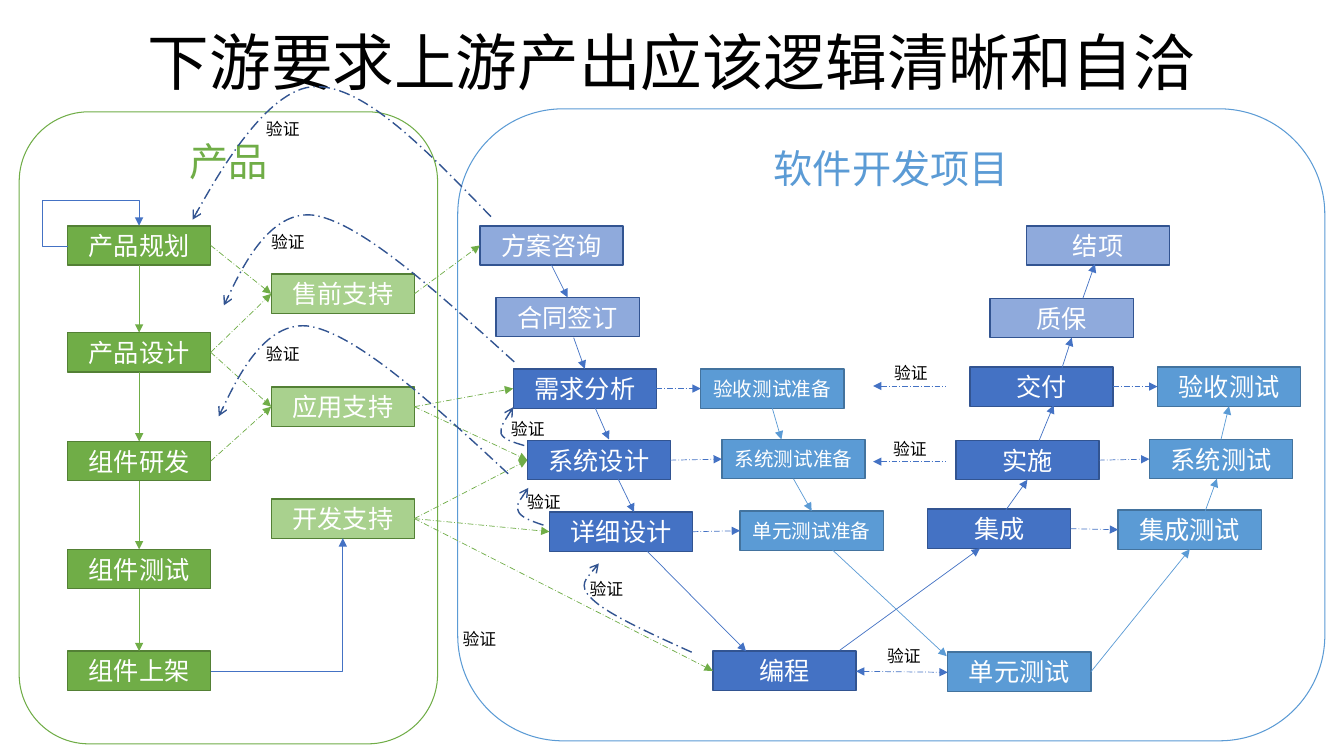
from lxml import etree
from pptx import Presentation
from pptx import util as u
from pptx.dml.color import RGBColor
from pptx.enum import dml, shapes, text
from pptx.oxml.ns import qn

FONT = "Noto Sans CJK SC"
BOX_W, BOX_H = 1.42, 0.39
TOP, LEFT, BOTTOM, RIGHT = range(4)
NAVY, BLUE, SKY, PALE_BLUE = "325491", "4472C4", "5B9BD5", "8FAADC"
GREEN, PALE_GREEN, DARK_GREEN, DARK_SKY = "70AD47", "A9D18E", "538035", "43739E"
WHITE, BLACK = "FFFFFF", "000000"

# (fill, border, font size, {label: (left, top)})
STEP_GROUPS = [
    (GREEN, DARK_GREEN, 18, {
        "产品规划": (0.67, 2.24), "产品设计": (0.67, 3.3), "组件研发": (0.67, 4.38),
        "组件测试": (0.67, 5.45), "组件上架": (0.67, 6.46)}),
    (PALE_GREEN, DARK_GREEN, 18, {
        "售前支持": (2.69, 2.72), "应用支持": (2.69, 3.84), "开发支持": (2.69, 4.95)}),
    (PALE_BLUE, NAVY, 18, {
        "方案咨询": (4.76, 2.24), "合同签订": (4.92, 2.95),
        "质保": (9.82, 2.96), "结项": (10.18, 2.24)}),
    (BLUE, NAVY, 18, {
        "需求分析": (5.09, 3.66), "系统设计": (5.23, 4.37), "详细设计": (5.45, 5.08),
        "编程": (7.07, 6.46), "集成": (9.2, 5.05), "实施": (9.48, 4.37),
        "交付": (9.62, 3.64)}),
    (SKY, DARK_SKY, 14, {
        "验收测试准备": (6.95, 3.66), "系统测试准备": (7.16, 4.36),
        "单元测试准备": (7.34, 5.07)}),
    (SKY, DARK_SKY, 18, {
        "单元测试": (9.4, 6.47), "集成测试": (11.09, 5.06),
        "系统测试": (11.4, 4.36), "验收测试": (11.48, 3.64)}),
]

# (colour, dashed, side left, side reached, [(from, to)])
LINK_GROUPS = [
    (GREEN, False, BOTTOM, TOP, [
        ("产品规划", "产品设计"), ("产品设计", "组件研发"),
        ("组件研发", "组件测试"), ("组件测试", "组件上架")]),
    (GREEN, True, RIGHT, LEFT, [
        ("产品规划", "售前支持"), ("产品设计", "售前支持"), ("产品设计", "应用支持"),
        ("组件研发", "应用支持"), ("售前支持", "方案咨询"), ("应用支持", "需求分析"),
        ("应用支持", "系统设计"), ("开发支持", "系统设计"), ("开发支持", "详细设计"),
        ("开发支持", "编程")]),
    (BLUE, True, RIGHT, LEFT, [
        ("需求分析", "验收测试准备"), ("系统设计", "系统测试准备"),
        ("详细设计", "单元测试准备"), ("集成", "集成测试"),
        ("实施", "系统测试"), ("交付", "验收测试")]),
    (BLUE, False, BOTTOM, TOP, [("方案咨询", "合同签订")]),
    (SKY, False, BOTTOM, TOP, [("系统测试准备", "单元测试准备")]),
    (SKY, False, RIGHT, BOTTOM, [("单元测试", "集成测试")]),
    (SKY, False, TOP, BOTTOM, [("系统测试", "验收测试")]),
]

# Arrows that start or stop away from the middle of a side
FREE_ARROWS = {
    BLUE: [
        (5.69, 3.35, 5.8, 3.66), (5.9, 4.04, 6.04, 4.36), (6.13, 4.75, 6.29, 5.08),
        (6.42, 5.47, 7.4, 6.46), (8.33, 6.45, 9.72, 5.44), (9.87, 5.21, 10.19, 4.76),
        (10.29, 4.41, 10.45, 4.02), (10.53, 3.66, 10.63, 3.35),
        (10.74, 2.96, 10.86, 2.62)],
    SKY: [
        (7.66, 4.05, 7.75, 4.36), (8.25, 5.45, 9.39, 6.51), (11.91, 5.19, 12.07, 4.75)],
}

# Start, then three points for each of two Bezier curves
FEEDBACK_CURVES = [
    [(5.39, 5.21), (5.27, 5.17), (5.16, 5.13), (5.14, 5.07),
     (5.11, 5.01), (5.24, 4.84), (5.24, 4.84)],
    [(6.86, 6.47), (6.44, 6.28), (6.02, 6.09), (5.87, 5.94),
     (5.72, 5.8), (5.94, 5.59), (5.94, 5.59)],
    [(5.2, 4.42), (5.1, 4.39), (4.99, 4.36), (4.97, 4.3),
     (4.96, 4.23), (5.09, 4.04), (5.09, 4.04)],
    [(5.1, 3.59), (4.36, 2.92), (3.62, 2.24), (3.14, 2.14),
     (2.66, 2.05), (2.22, 3.03), (2.22, 3.03)],
    [(5.04, 4.7), (4.31, 4.02), (3.57, 3.34), (3.09, 3.24),
     (2.61, 3.15), (2.17, 4.13), (2.17, 4.13)],
    [(4.87, 2.15), (4.24, 1.5), (3.62, 0.85), (3.13, 0.86),
     (2.63, 0.86), (1.91, 2.18), (1.91, 2.18)],
]

VERIFY_LABELS = [
    (5.75, 5.69), (5.13, 4.83), (4.97, 4.11), (8.77, 3.55), (8.76, 4.3), (8.7, 6.36),
    (4.49, 6.19), (2.59, 2.25), (2.54, 3.36), (2.54, 1.13)]


def inches(*values):
    """Turn numbers into slide lengths."""
    return [u.Inches(value) for value in values]


def rgb(value):
    """Turn a hex string into a colour."""
    return RGBColor.from_string(value)


def write(frame, words, size, colour, align=text.PP_ALIGN.CENTER):
    """Fill a text frame with one formatted paragraph and return it."""
    paragraph = frame.paragraphs[0]
    paragraph.text, paragraph.alignment = words, align
    font = paragraph.font
    font.name, font.size = FONT, u.Pt(size)
    font.color.rgb = rgb(colour)
    defaults = paragraph._p.pPr.find(qn("a:defRPr"))
    etree.SubElement(defaults, qn("a:ea"), typeface=FONT)
    return paragraph


def stroke(item, colour, width, dashed=False, head=None, tail=None):
    """Format an outline and its arrowheads."""
    item.line.color.rgb = rgb(colour)
    item.line.width = u.Pt(width)
    if dashed:
        item.line.dash_style = dml.MSO_LINE.LONG_DASH_DOT
    outline = item._element.spPr.find(qn("a:ln"))
    for end, kind in (("a:headEnd", head), ("a:tailEnd", tail)):
        if kind:
            etree.SubElement(outline, qn(end), type=kind)


def add_panel(slide, words, colour, *place):
    """Draw a rounded stage frame with its heading."""
    panel = slide.shapes.add_shape(shapes.MSO_SHAPE.ROUNDED_RECTANGLE, *inches(*place))
    panel.shadow.inherit = False
    panel.fill.background()
    stroke(panel, colour, 0.75)
    panel.text_frame.vertical_anchor = text.MSO_ANCHOR.TOP
    write(panel.text_frame, words, 28, colour)


def add_step(slide, words, left, top, fill, border, size):
    """Draw one process step and return it."""
    step = slide.shapes.add_shape(
        shapes.MSO_SHAPE.RECTANGLE, *inches(left, top, BOX_W, BOX_H))
    step.shadow.inherit = False
    step.fill.solid()
    step.fill.fore_color.rgb = rgb(fill)
    stroke(step, border, 1)
    step.text_frame.vertical_anchor = text.MSO_ANCHOR.MIDDLE
    write(step.text_frame, words, size, WHITE)
    return step


def add_arrow(slide, colour, ends=(0, 0, 0, 0), dashed=False, head=None,
              tail="triangle", bend=None, adjust=()):
    """Draw a straight arrow, or a bent one of the given preset."""
    kind = shapes.MSO_CONNECTOR.ELBOW if bend else shapes.MSO_CONNECTOR.STRAIGHT
    arrow = slide.shapes.add_connector(kind, *inches(*ends))
    stroke(arrow, colour, 0.5, dashed, head, tail)
    etree.SubElement(arrow._element.spPr, qn("a:effectLst"))
    if bend:
        geometry = arrow._element.spPr.find(qn("a:prstGeom"))
        geometry.set("prst", bend)
        guides = geometry.find(qn("a:avLst"))
        for number, share in enumerate(adjust, 1):
            etree.SubElement(guides, qn("a:gd"), name=f"adj{number}",
                             fmla=f"val {round(share * 100000)}")
    return arrow


def add_feedback(slide, points):
    """Draw a dashed feedback arrow along Bezier curves."""
    start, *rest = [inches(*point) for point in points]
    builder = slide.shapes.build_freeform(*start)
    builder.add_line_segments(rest, close=False)
    curve = builder.convert_to_shape()
    curve.shadow.inherit = False
    curve.fill.background()
    stroke(curve, NAVY, 1, dashed=True, tail="arrow")
    outline = next(curve._element.iter(qn("a:path")))
    segments = outline.findall(qn("a:lnTo"))
    for first in range(0, len(segments), 3):
        bezier = etree.SubElement(outline, qn("a:cubicBezTo"))
        for segment in segments[first:first + 3]:
            bezier.append(segment[0])
            outline.remove(segment)


def add_verify_label(slide, left, top):
    """Place a small verification label."""
    label = slide.shapes.add_textbox(*inches(left, top, 0.54, 0.3))
    label.text_frame.word_wrap = False
    write(label.text_frame, "验证", 12, BLACK, text.PP_ALIGN.LEFT)


def add_title(slide, words):
    """Move and format the title placeholder."""
    title = slide.shapes.title
    title.left, title.top, title.width, title.height = inches(0, 0.27, 13.33, 0.77)
    title.text_frame.vertical_anchor = text.MSO_ANCHOR.MIDDLE
    write(title.text_frame, words, 44, BLACK).line_spacing = 0.9


def main():
    """Build the slide and save it."""
    deck = Presentation()
    deck.slide_width, deck.slide_height = inches(13.33, 7.5)
    slide = deck.slides.add_slide(deck.slide_layouts[5])
    add_title(slide, "下游要求上游产出应该逻辑清晰和自洽")
    add_panel(slide, "产品", GREEN, 0.19, 1.11, 4.15, 6.27)
    add_panel(slide, "软件开发项目", SKY, 4.54, 1.08, 8.6, 6.27)

    steps = {}
    for fill, border, size, places in STEP_GROUPS:
        for words, (left, top) in places.items():
            steps[words] = add_step(slide, words, left, top, fill, border, size)

    for colour, dashed, side_left, side_reached, pairs in LINK_GROUPS:
        for source, target in pairs:
            arrow = add_arrow(slide, colour, dashed=dashed)
            arrow.begin_connect(steps[source], side_left)
            arrow.end_connect(steps[target], side_reached)
    for colour, arrows in FREE_ARROWS.items():
        for ends in arrows:
            add_arrow(slide, colour, ends)
    add_arrow(slide, BLUE, (8.49, 6.66, 9.4, 6.67), dashed=True, head="triangle")
    for y in (3.83, 4.58):
        add_arrow(slide, BLUE, (8.66, y, 9.38, y), dashed=True, head="triangle", tail=None)
    add_arrow(slide, BLUE, (0.67, 2.44, 1.38, 2.24),
              bend="bentConnector4", adjust=(-0.35, 2.27))
    add_arrow(slide, BLUE, (2.09, 6.66, 3.4, 5.34), bend="bentConnector2")

    for points in FEEDBACK_CURVES:
        add_feedback(slide, points)
    for left, top in VERIFY_LABELS:
        add_verify_label(slide, left, top)
    deck.save("out.pptx")


main()
